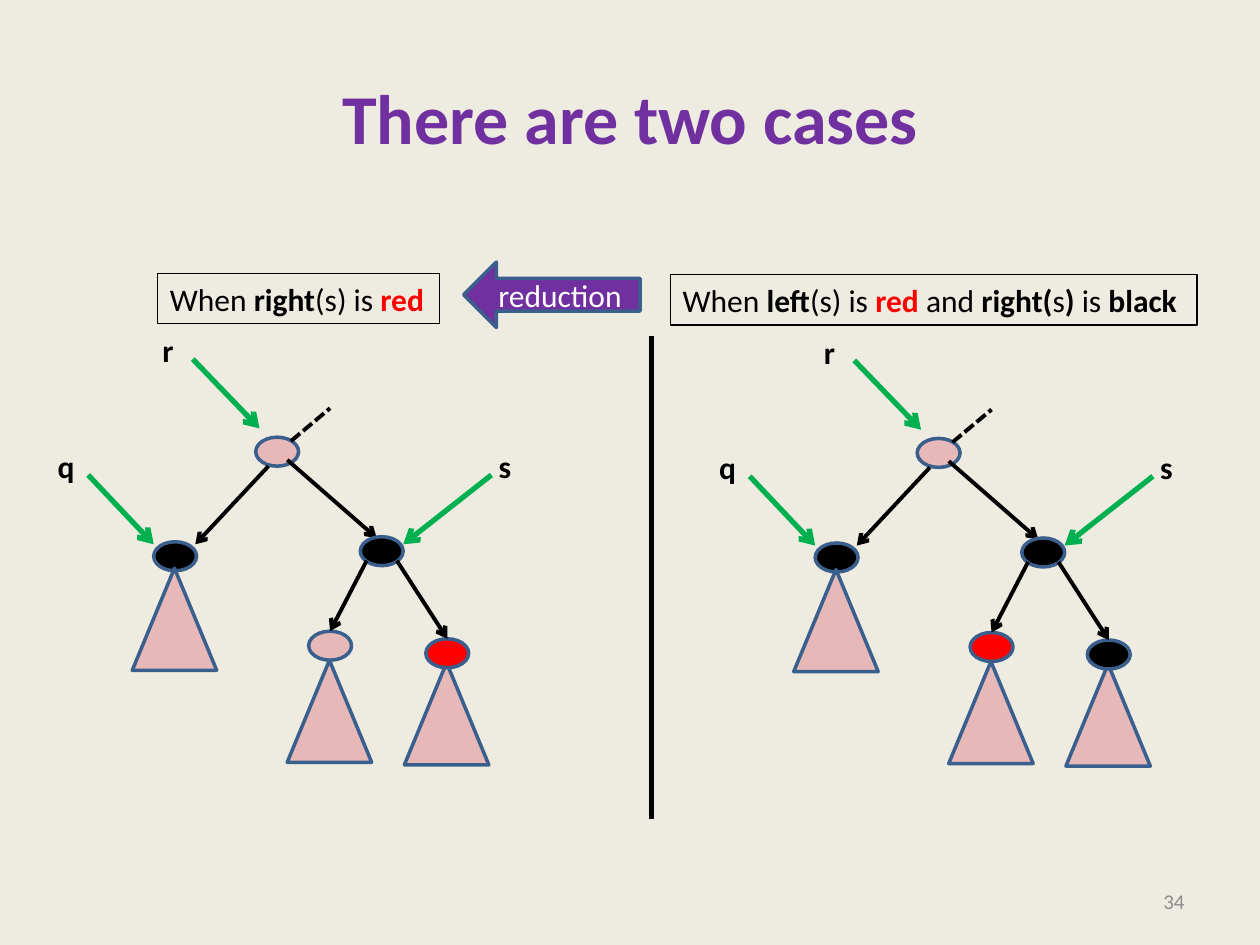
from lxml.etree import SubElement
from pptx import Presentation
from pptx.dml.color import RGBColor
from pptx.enum.dml import MSO_LINE
from pptx.enum.shapes import MSO_CONNECTOR, MSO_SHAPE
from pptx.enum.text import MSO_ANCHOR, MSO_AUTO_SIZE, PP_ALIGN
from pptx.oxml.ns import qn
from pptx.util import Inches, Pt

COLORS = {
    "background": "EEECE1", "purple": "7030A0", "outline": "3A5F8C",
    "pink": "E6B9B8", "black": "000000", "red": "FF0000",
    "green": "00B050", "white": "FFFFFF", "gray": "8C8C8C",
}
FONT = "Calibri"
NODE_W, NODE_H = 0.34, 0.23
SUBTREE_W, SUBTREE_H = 0.67, 0.81


def rgb(name):
    return RGBColor.from_string(COLORS[name])


class SlideBuilder:
    """Draws styled elements, shifted by the current origin, into the current group."""

    def __init__(self, prs):
        self.slide = prs.slides.add_slide(prs.slide_layouts[5])
        fill = self.slide.background.fill
        fill.solid()
        fill.fore_color.rgb = rgb("background")
        self.shapes = self.slide.shapes
        self.dx = self.dy = 0

    def start_group(self, dx, dy):
        self.shapes = self.slide.shapes.add_group_shape().shapes
        self.dx, self.dy = dx, dy

    def place(self, x, y):
        return Inches(x + self.dx), Inches(y + self.dy)

    def font(self, p, size, color, bold=None):
        p.font.name, p.font.size, p.font.bold = FONT, Pt(size), bold
        p.font.color.rgb = rgb(color)

    def title(self, text):
        sp = self.slide.shapes.title
        sp.left, sp.top = Inches(0.5), Inches(0.3)
        sp.width, sp.height = Inches(9), Inches(1.25)
        sp.text_frame.text = text
        sp.text_frame.vertical_anchor = MSO_ANCHOR.MIDDLE
        p = sp.text_frame.paragraphs[0]
        p.alignment = PP_ALIGN.CENTER
        self.font(p, 40, "purple", True)

    def shape(self, kind, x, y, w, h, fill):
        sp = self.shapes.add_shape(kind, *self.place(x, y), Inches(w), Inches(h))
        sp.shadow.inherit = False
        sp.fill.solid()
        sp.fill.fore_color.rgb = rgb(fill)
        sp.line.color.rgb = rgb("outline")
        sp.line.width = Pt(2)
        return sp

    def node(self, x, y, fill):
        self.shape(MSO_SHAPE.OVAL, x, y, NODE_W, NODE_H, fill)

    def subtree(self, x, y):
        self.shape(MSO_SHAPE.ISOSCELES_TRIANGLE, x, y, SUBTREE_W, SUBTREE_H, "pink")

    def line(self, start, end, color="black", width=2.25, arrow=True, dash=None):
        cn = self.shapes.add_connector(
            MSO_CONNECTOR.STRAIGHT, *self.place(*start), *self.place(*end))
        cn.line.color.rgb = rgb(color)
        cn.line.width = Pt(width)
        if dash:
            cn.line.dash_style = dash
        if arrow:
            SubElement(cn.line._get_or_add_ln(), qn("a:tailEnd"), type="arrow")
        SubElement(cn._element.spPr, qn("a:effectLst"))

    def pointer(self, start, end):
        self.line(start, end, "green", 3)

    def text(self, text, x, y, w, size=18, color="black", bold=None):
        sp = self.shapes.add_textbox(*self.place(x, y), Inches(w), Inches(0.4))
        tf = sp.text_frame
        tf.word_wrap = False
        tf.auto_size = MSO_AUTO_SIZE.SHAPE_TO_FIT_TEXT
        tf.text = text
        self.font(tf.paragraphs[0], size, color, bold)
        return sp

    def condition(self, parts, x, y, w):
        """Framed text; each part is (text, bold, color)."""
        sp = self.text("", x, y, w)
        sp.line.color.rgb = rgb("black")
        sp.line.width = Pt(0.75)
        for text, bold, color in parts:
            r = sp.text_frame.paragraphs[0].add_run()
            r.text = text
            r.font.bold = bold
            r.font.color.rgb = rgb(color)

    def tree(self, left_color, right_color):
        """Root r with children q and s; s has two coloured children."""
        self.node(2.03, 3.47, "pink")
        self.line((2.13, 3.7), (1.55, 4.32))
        self.line((2.31, 3.5), (2.62, 3.24), arrow=False, dash=MSO_LINE.SQUARE_DOT)
        self.line((2.28, 3.65), (2.99, 4.27))
        self.node(2.86, 4.26, "black")
        self.node(1.22, 4.3, "black")
        self.subtree(1.05, 4.51)
        for x, y, color in ((3.38, 5.07, right_color), (2.45, 5.01, left_color)):
            self.subtree(x - 0.17, y + 0.19 if x > 3 else y + NODE_H)
            self.node(x, y, color)
        self.line((2.91, 4.45), (2.62, 5.01))
        self.line((3.15, 4.45), (3.55, 5.07))
        for name, x, y, w, start, end in (
            ("q", 0.36, 3.5, 0.34, (0.7, 3.77), (1.22, 4.32)),
            ("s", 3.86, 3.5, 0.3, (3.9, 3.77), (3.2, 4.32)),
            ("r", 1.19, 2.58, 0.29, (1.53, 2.85), (2.06, 3.4)),
        ):
            self.pointer(start, end)
            self.text(name, x, y, w, bold=True)

    def reduction_arrow(self, text):
        sp = self.shape(MSO_SHAPE.LEFT_ARROW, 3.68, 2.08, 1.4, 0.52, "purple")
        tf = sp.text_frame
        tf.text = text
        tf.vertical_anchor = MSO_ANCHOR.MIDDLE
        tf.paragraphs[0].alignment = PP_ALIGN.CENTER
        self.font(tf.paragraphs[0], 18, "white")

    def page_number(self, number):
        sp = self.text(str(number), 7.17, 6.95, 2.33, 12, "gray")
        tf = sp.text_frame
        tf.auto_size = MSO_AUTO_SIZE.NONE
        tf.word_wrap = True
        tf.vertical_anchor = MSO_ANCHOR.MIDDLE
        tf.paragraphs[0].alignment = PP_ALIGN.RIGHT


def main():
    prs = Presentation()
    prs.slide_width, prs.slide_height = Inches(10), Inches(7.5)
    s = SlideBuilder(prs)
    s.title("There are two cases")
    s.page_number(34)
    s.reduction_arrow("reduction")

    s.start_group(5.25, 0.01)
    s.tree("red", "black")
    s.condition([
        ("When ", False, "black"), ("left", True, "black"),
        ("(s) is ", False, "black"), ("red ", True, "red"),
        ("and ", False, "black"), ("right(", True, "black"),
        ("s", False, "black"), (") ", True, "black"),
        ("is", False, "black"), (" black", True, "black"),
    ], 0.07, 2.17, 4.18)
    s.line((-0.08, 2.66), (-0.08, 6.49), width=3, arrow=False)

    s.start_group(0, 0)
    s.tree("pink", "red")
    s.condition([
        ("When ", False, "black"), ("right", True, "black"),
        ("(s) is ", False, "black"), ("red", True, "red"),
    ], 1.25, 2.17, 2.24)

    prs.save("out.pptx")


if __name__ == "__main__":
    main()
